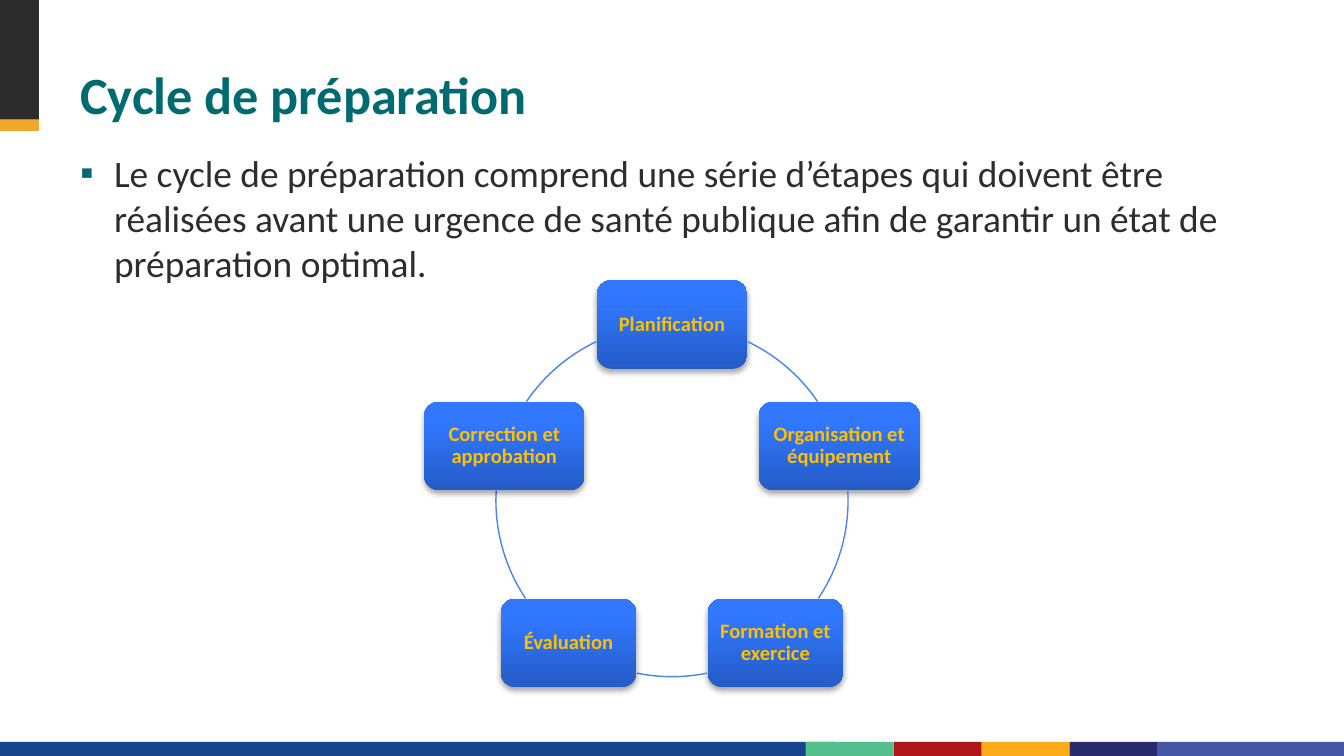
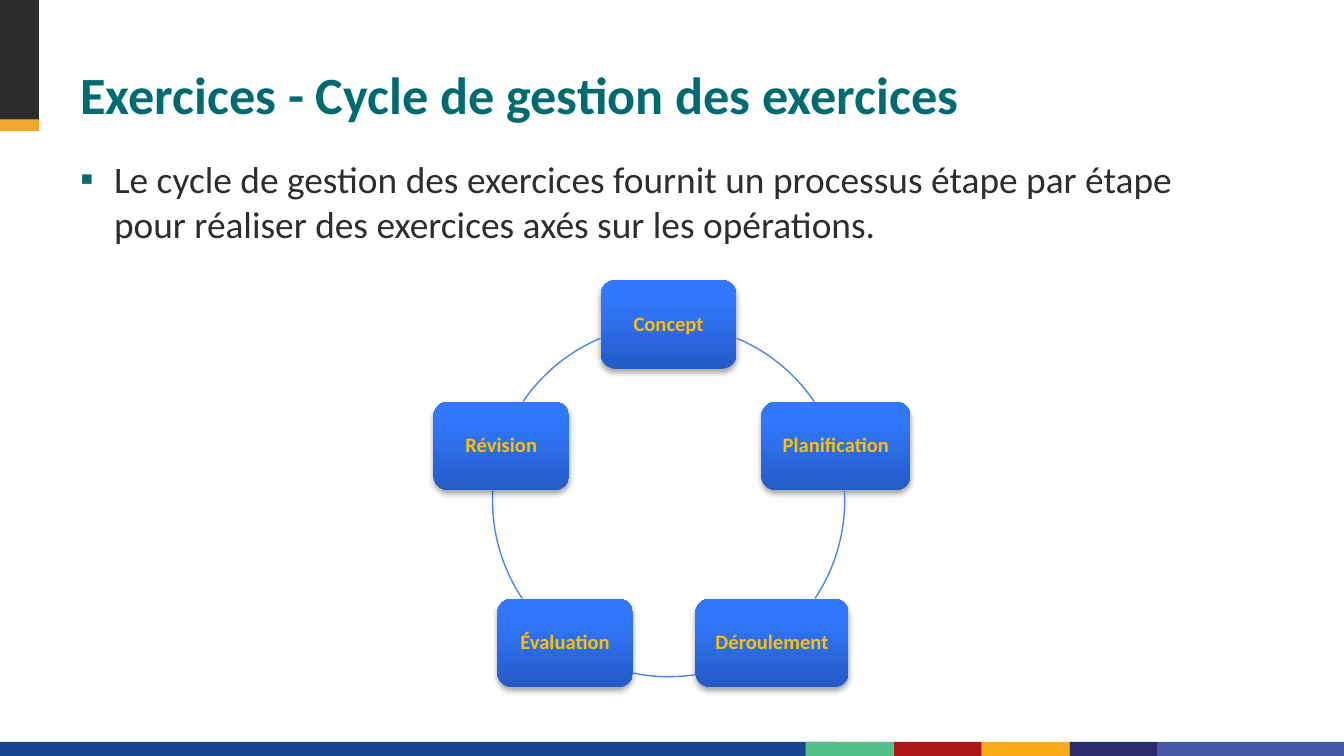
from dataclasses import dataclass
from math import cos, radians, sin
from typing import NamedTuple

from lxml import etree
from pptx import Presentation
from pptx.dml.color import RGBColor
from pptx.enum.shapes import MSO_SHAPE
from pptx.enum.text import MSO_ANCHOR, PP_ALIGN
from pptx.oxml.ns import qn
from pptx.util import Emu, Pt

RECT, ROUND, ARC = MSO_SHAPE.RECTANGLE, MSO_SHAPE.ROUNDED_RECTANGLE, MSO_SHAPE.ARC
TOP, MIDDLE, BOTTOM = MSO_ANCHOR.TOP, MSO_ANCHOR.MIDDLE, MSO_ANCHOR.BOTTOM
LEFT, CENTER = PP_ALIGN.LEFT, PP_ALIGN.CENTER
SCALE = 4572
WIDTH, HEIGHT = 2000, 1125
RADIUS, TALL, STEP = 262, 132, 72


@dataclass(frozen=True)
class Theme:
    font: str = "Calibri"
    title: str = "006A71"
    body: str = "2D2D2D"
    label: str = "FFC000"
    ring: str = "4983F2"
    shade: str = "000000"
    ramp: tuple = ((0, "245CC7"), (80, "3278FF"), (100, "3479FF"))
    head: int = 28
    text: int = 20
    small: int = 11


class Box(NamedTuple):
    left: int
    top: int
    width: int
    height: int


class Band(NamedTuple):
    box: Box
    color: str


class Node(NamedTuple):
    text: str
    width: int


class Page(NamedTuple):
    title: str
    body: str
    place: Box
    hub: tuple[int, int]
    nodes: tuple[Node, ...]


THEME = Theme()
BANDS = (
    Band(Box(1330, 1104, 131, 21), "B01519"),
    Band(Box(1461, 1104, 131, 21), "FBAB18"),
    Band(Box(1592, 1104, 131, 21), "292B6E"),
    Band(Box(1722, 1104, 278, 21), "4656A6"),
    Band(Box(0, 1104, 1242, 21), "17468F"),
    Band(Box(1199, 1104, 131, 21), "55BF8B"),
    Band(Box(0, 0, 58, 178), "2D2C2C"),
    Band(Box(0, 178, 58, 17), "F0A82C"),
)
PAGES = (
    Page(
        "Cycle de préparation",
        "Le cycle de préparation comprend une série d’étapes qui doivent être "
        "réalisées avant une urgence de santé publique afin de garantir un état "
        "de préparation optimal.",
        Box(100, 214, 1784, 770),
        (1000, 745),
        (
            Node("Planification", 224),
            Node("Organisation et équipement", 240),
            Node("Formation et exercice", 202),
            Node("Évaluation", 202),
            Node("Correction et approbation", 239),
        ),
    ),
    Page(
        "Exercices - Cycle de gestion des exercices",
        "Le cycle de gestion des exercices fournit un processus étape par étape "
        "pour réaliser des exercices axés sur les opérations.",
        Box(100, 223, 1784, 518),
        (995, 745),
        (
            Node("Concept", 202),
            Node("Planification", 222),
            Node("Déroulement", 228),
            Node("Évaluation", 202),
            Node("Révision", 202),
        ),
    ),
)


def px(size: int) -> Emu:
    return Emu(size * SCALE)


def place(box: Box) -> list[Emu]:
    return [px(size) for size in box]


def shape(slide, kind, box: Box, color: str | None = None):
    item = slide.shapes.add_shape(kind, *place(box))
    item.shadow.inherit = False
    item.line.fill.background()
    if color:
        item.fill.solid()
        item.fill.fore_color.rgb = RGBColor.from_string(color)
    else:
        item.fill.background()
    return item


def mark(para) -> None:
    props = para._p.get_or_add_pPr()
    props.set("marL", str(px(50)))
    props.set("indent", str(px(-50)))
    tint = etree.SubElement(props, qn("a:buClr"))
    etree.SubElement(tint, qn("a:srgbClr"), val=THEME.title)
    etree.SubElement(props, qn("a:buFont"), typeface=THEME.font)
    etree.SubElement(props, qn("a:buChar"), char="▪")


def write(item, text: str, *, size: int, color: str, bold: bool = False,
          align=LEFT, anchor=TOP, side: int = 20, lead=None,
          bullet: bool = False) -> None:
    frame = item.text_frame
    frame.word_wrap = True
    frame.vertical_anchor = anchor
    frame.margin_left = frame.margin_right = px(side)
    frame.margin_top = frame.margin_bottom = px(10)
    para = frame.paragraphs[0]
    if bullet:
        mark(para)
    para.alignment = align
    if lead:
        para.line_spacing = lead
    run = para.add_run()
    run.text = text
    run.font.name = THEME.font
    run.font.size = Pt(size)
    run.font.bold = bold
    run.font.color.rgb = RGBColor.from_string(color)


def gloss(item) -> None:
    item.fill.gradient()
    item.fill.gradient_angle = 90
    props = item.element.spPr
    stops = props.find(".//" + qn("a:gsLst"))
    stops.clear()
    for spot, color in THEME.ramp:
        stop = etree.SubElement(stops, qn("a:gs"), pos=str(spot * 1000))
        etree.SubElement(stop, qn("a:srgbClr"), val=color)
    glow = etree.SubElement(
        props.find(qn("a:effectLst")), qn("a:outerShdw"), blurRad="40000",
        dist="23000", dir="5400000", algn="ctr", rotWithShape="0")
    tint = etree.SubElement(glow, qn("a:srgbClr"), val=THEME.shade)
    etree.SubElement(tint, qn("a:alpha"), val="35000")


def point(hub: tuple[int, int], angle: float) -> tuple[float, float]:
    turn = radians(angle)
    return hub[0] + RADIUS * cos(turn), hub[1] + RADIUS * sin(turn)


def seat(hub: tuple[int, int], angle: int, width: int) -> Box:
    x, y = point(hub, angle)
    return Box(round(x - width / 2), round(y - TALL / 2), width, TALL)


def leave(hub: tuple[int, int], box: Box, angle: int, way: int) -> float:
    for tick in range(STEP * 4):
        turn = angle + way * tick / 4
        x, y = point(hub, turn)
        if not (box.left <= x <= box.left + box.width
                and box.top <= y <= box.top + box.height):
            return turn
    return angle


def link(slide, hub: tuple[int, int], start: float, end: float) -> None:
    box = Box(hub[0] - RADIUS, hub[1] - RADIUS, 2 * RADIUS, 2 * RADIUS)
    arc = shape(slide, ARC, box)
    for index, angle in enumerate((start, end)):
        arc.adjustments[index] = angle % 360 * 0.6
    arc.line.color.rgb = RGBColor.from_string(THEME.ring)
    arc.line.width = Pt(0.75)


def cycle(slide, hub: tuple[int, int], nodes: tuple[Node, ...]) -> None:
    turns = [STEP * index - 90 for index in range(len(nodes))]
    seats = [seat(hub, turn, node.width) for turn, node in zip(turns, nodes)]
    for index, (node, box, turn) in enumerate(zip(nodes, seats, turns)):
        card = shape(slide, ROUND, box)
        gloss(card)
        write(card, node.text, size=THEME.small, color=THEME.label, bold=True,
              align=CENTER, anchor=MIDDLE, side=10, lead=0.9)
        after = seats[(index + 1) % len(seats)]
        link(slide, hub, leave(hub, box, turn, 1),
             leave(hub, after, turn + STEP, -1))


def build(deck, page: Page) -> None:
    slide = deck.slides.add_slide(deck.slide_layouts[6])
    for band in BANDS:
        shape(slide, RECT, band.box, band.color)
    title = slide.shapes.add_textbox(*place(Box(100, 46, 1800, 150)))
    write(title, page.title, size=THEME.head, color=THEME.title, bold=True,
          anchor=BOTTOM, lead=Pt(30))
    body = slide.shapes.add_textbox(*place(page.place))
    write(body, page.body, size=THEME.text, color=THEME.body, bullet=True)
    cycle(slide, page.hub, page.nodes)


def main() -> None:
    deck = Presentation()
    deck.slide_width, deck.slide_height = px(WIDTH), px(HEIGHT)
    for page in PAGES:
        build(deck, page)
    deck.save("out.pptx")


if __name__ == "__main__":
    main()
